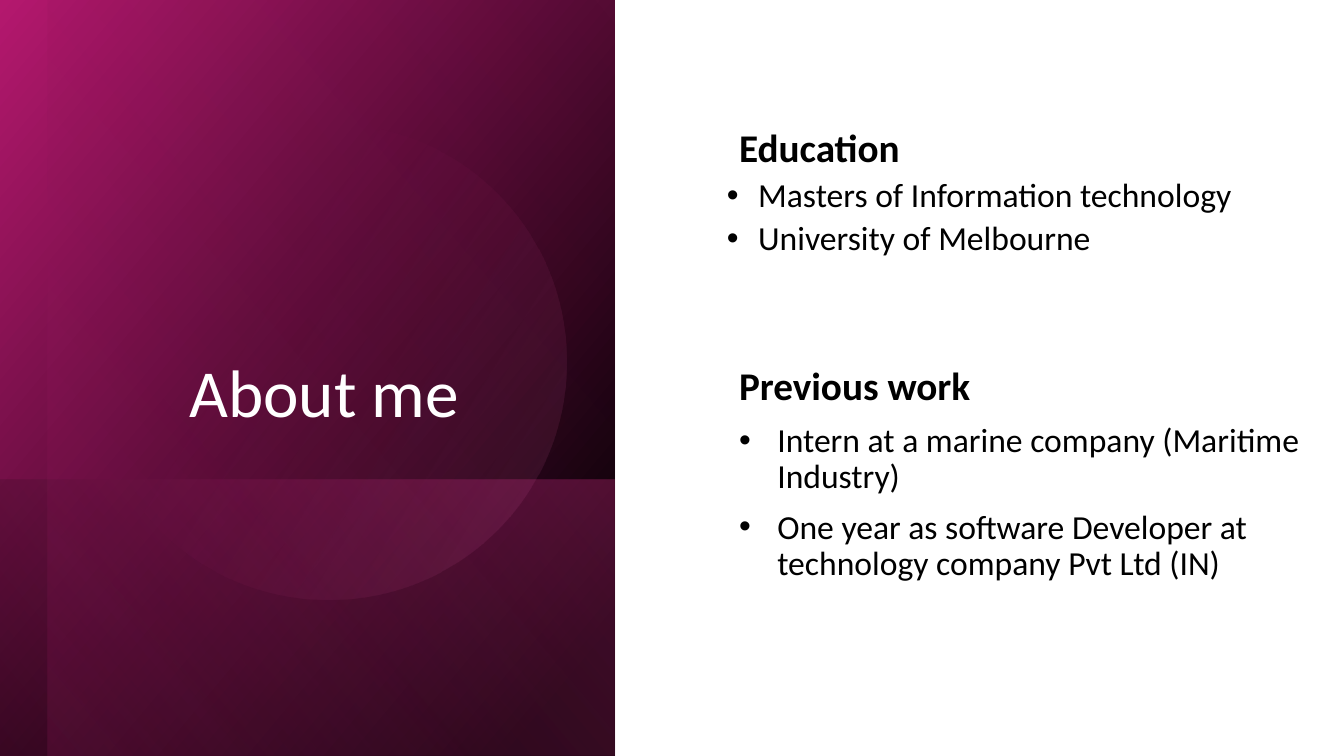
from lxml import etree
from pptx import Presentation
from pptx.dml.color import RGBColor
from pptx.enum.shapes import MSO_SHAPE
from pptx.enum.text import MSO_ANCHOR, MSO_AUTO_SIZE, PP_ALIGN
from pptx.oxml.ns import qn
from pptx.util import Inches, Pt

RECTANGLE, OVAL = MSO_SHAPE.RECTANGLE, MSO_SHAPE.OVAL
TOP, BOTTOM = MSO_ANCHOR.TOP, MSO_ANCHOR.BOTTOM
LEFT, CENTER = PP_ALIGN.LEFT, PP_ALIGN.CENTER
NO_FIT = MSO_AUTO_SIZE.NONE

THEME = {
    "font": "Calibri",
    "black": "000000",
    "white": "FFFFFF",
    "deep": "B4186E",
    "pink": "E32D91",
    "pale": "EE81BD",
    "title": 48,
    "heading": 28,
    "item": 24,
}

deck = Presentation()
deck.slide_width, deck.slide_height = Inches(13.33), Inches(7.5)
page = deck.slides.add_slide(deck.slide_layouts[1])
title, body = page.shapes.title, page.placeholders[1]


def add_span(para, text, size, color, bold=False):
    span = para.add_run()
    span.text = text
    span.font.name = THEME["font"]
    span.font.size = Pt(THEME[size])
    span.font.bold = bold
    span.font.color.rgb = RGBColor.from_string(THEME[color])


PANELS = [
    (RECTANGLE, (-0.7, 0.7, 7.5, 6.1), 90, True, 50, [(8, "black", 100), (100, "deep", 100)]),
    (RECTANGLE, (1.67, 3.08, 2.74, 6.1), 90, True, 130, [(2, "pink", 29), (100, "black", 30)]),
    (RECTANGLE, (-0.46, 0.93, 7.5, 5.63), 90, True, 130, [(0, "black", 0), (99, "pink", 11)]),
    (OVAL, (0.9, 1.23, 4.72, 4.72), 101.6, False, 290, [(39, "pink", 0), (100, "pale", 15)]),
]
for kind, place, rotation, flipped, angle, stops in PANELS:
    panel = page.shapes.add_shape(kind, *map(Inches, place))
    panel.rotation = rotation
    panel.shadow.inherit = False
    panel.line.fill.background()
    if flipped:
        panel.element.spPr.find(qn("a:xfrm")).set("flipH", "1")
    panel.fill.gradient()
    panel.fill.gradient_angle = 360 - angle
    for stop, (position, color, opacity) in zip(panel.fill.gradient_stops, stops):
        stop.position = position / 100
        stop.color.rgb = RGBColor.from_string(THEME[color])
    tints = panel.element.spPr.iter(qn("a:srgbClr"))
    for tint, (position, color, opacity) in zip(list(tints), stops):
        etree.SubElement(tint, qn("a:alpha")).set("val", str(opacity * 1000))
    title.element.addprevious(panel.element)

for box, place, anchor in [
    (title, (0.9, 0.64, 4.63, 3.7), BOTTOM),
    (body, (7.11, 1.2, 6.04, 6.09), TOP),
]:
    box.left, box.top, box.width, box.height = map(Inches, place)
    frame = box.text_frame
    frame.word_wrap = True
    frame.auto_size = NO_FIT
    frame.vertical_anchor = anchor
    frame.margin_left = frame.margin_right = Inches(0.1)
    frame.margin_top = frame.margin_bottom = Inches(0.05)
body.text_frame.margin_top = Inches(0.08)

para = title.text_frame.paragraphs[0]
para.alignment = CENTER
para.line_spacing = 0.9
add_span(para, "About me", "title", "white")

LINES = [
    ("Education", False, 0.12, 0, 0),
    ("Masters of Information technology", True, 0.31, 0.31, 5),
    ("University of Melbourne", True, 0.31, 0.31, 5),
    ("Previous work", False, 0.12, 0, 78),
    ("Intern at a marine company (Maritime Industry)", True, 0.5, 0.38, 10),
    ("One year as software Developer at technology company Pvt Ltd (IN)", True, 0.5, 0.38, 10),
]
for index, (text, bulleted, margin, hanging, before) in enumerate(LINES):
    para = body.text_frame.add_paragraph() if index else body.text_frame.paragraphs[0]
    layout = para._p.get_or_add_pPr()
    layout.set("marL", str(Inches(margin)))
    layout.set("indent", str(-Inches(hanging)))
    if bulleted:
        tint = etree.SubElement(layout, qn("a:buClr"))
        etree.SubElement(tint, qn("a:srgbClr")).set("val", THEME["black"])
        etree.SubElement(layout, qn("a:buFont")).set("typeface", "Arial")
        etree.SubElement(layout, qn("a:buChar")).set("char", "•")
    else:
        etree.SubElement(layout, qn("a:buNone"))
    para.alignment = LEFT
    para.line_spacing = 0.9
    para.space_before = Pt(before)
    add_span(para, text, "item" if bulleted else "heading", "black", not bulleted)

deck.save("out.pptx")
